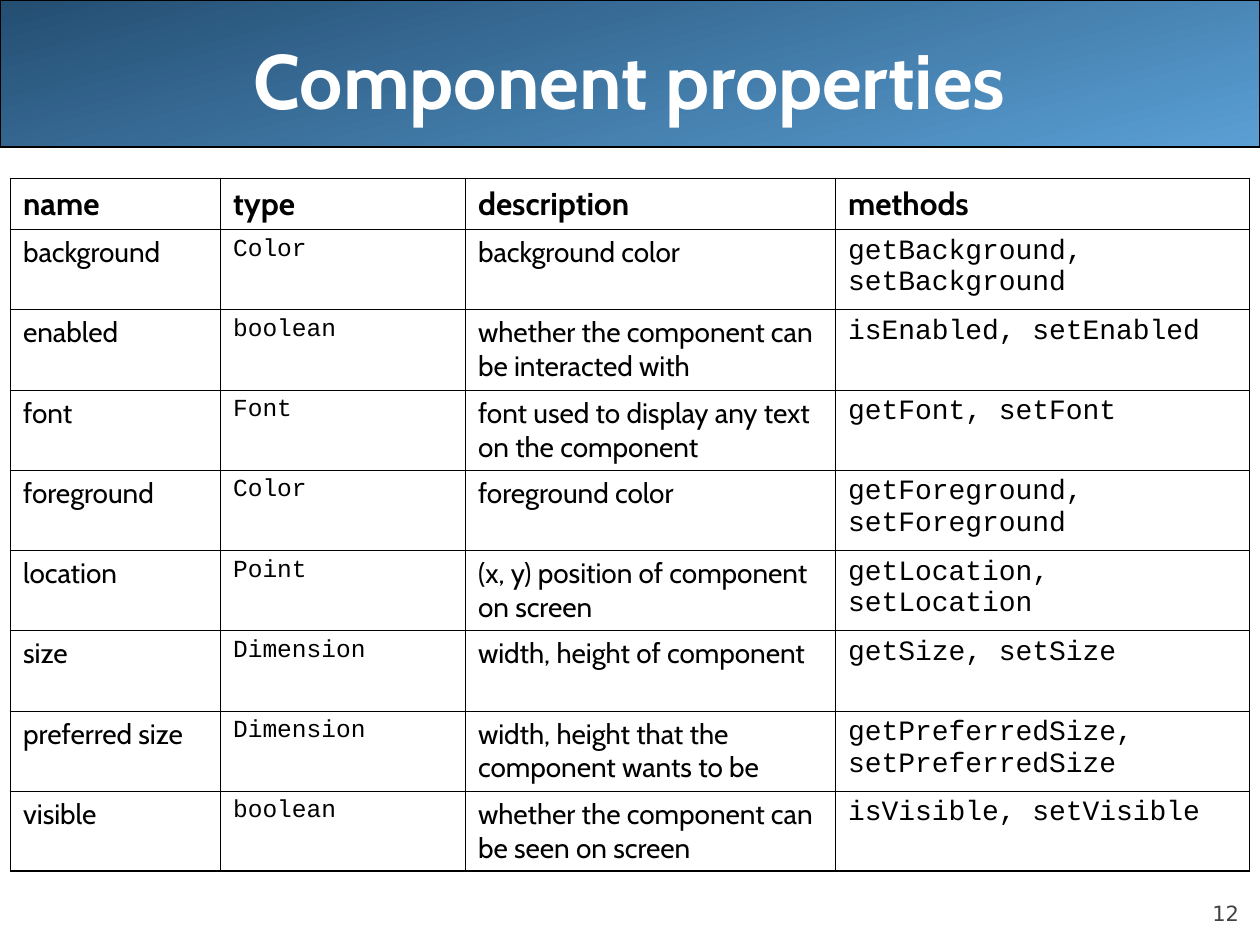
from dataclasses import dataclass

from lxml import etree
from pptx import Presentation
from pptx.dml.color import RGBColor
from pptx.enum.shapes import MSO_SHAPE
from pptx.enum.text import MSO_ANCHOR, PP_ALIGN
from pptx.oxml.ns import qn
from pptx.util import Pt

ROUNDED_RECTANGLE = MSO_SHAPE.ROUNDED_RECTANGLE
LEFT, CENTER, RIGHT = PP_ALIGN.LEFT, PP_ALIGN.CENTER, PP_ALIGN.RIGHT
MIDDLE, BOTTOM = MSO_ANCHOR.MIDDLE, MSO_ANCHOR.BOTTOM

TITLE = "Component properties"
PAGE_NUMBER = "12"
HEADINGS = ("name", "type", "description", "methods")
PROPERTIES = [
    ("background", "Color", "background color", "getBackground, setBackground"),
    ("enabled", "boolean", "whether the component can be interacted with", "isEnabled, setEnabled"),
    ("font", "Font", "font used to display any text on the component", "getFont, setFont"),
    ("foreground", "Color", "foreground color", "getForeground, setForeground"),
    ("location", "Point", "(x, y) position of component on screen", "getLocation, setLocation"),
    ("size", "Dimension", "width, height of component", "getSize, setSize"),
    ("preferred size", "Dimension", "width, height that the component wants to be",
     "getPreferredSize, setPreferredSize"),
    ("visible", "boolean", "whether the component can be seen on screen", "isVisible, setVisible"),
]

SLIDE_WIDTH, SLIDE_HEIGHT = 720, 540
BANNER_HEIGHT = 84
TITLE_BOX = (36, 0, 648, 90)
PAGE_NUMBER_BOX = (648, 500.4, 60, 28.8)
TABLE_LEFT, TABLE_TOP = 6, 102
COLUMN_WIDTHS = (120, 140, 211.5, 236.5)
HEADING_HEIGHT, ROW_HEIGHT = 29.2, 45.85
INSET_X, INSET_Y = 7.2, 3.6
OUTER_BORDER, INNER_BORDER = 1.08, 0.45


@dataclass(frozen=True)
class TextStyle:
    font: str
    size: float
    color: str = "000000"
    bold: bool = False
    space_before: float = 0


class Theme:
    banner_start = "244E72"
    banner_end = "5A9FD4"
    gradient_angle = 285
    line = "000000"
    title = TextStyle("Cabin", 44, "FFFFFF", True)
    page_number = TextStyle("DejaVu Sans", 12, "424242", space_before=5)
    heading = TextStyle("Cabin", 18, bold=True, space_before=4.5)
    prose = TextStyle("Cabin", 16, space_before=4)
    type_code = TextStyle("Courier New", 14, space_before=3.5)
    method_code = TextStyle("Courier New", 16, space_before=4)
    columns = (prose, type_code, prose, method_code)


def write_text(text_frame, text, style, alignment=LEFT):
    paragraph = text_frame.paragraphs[0]
    paragraph.alignment = alignment
    paragraph.space_before = Pt(style.space_before)
    run = paragraph.add_run()
    run.text = text
    run.font.name = style.font
    run.font.size = Pt(style.size)
    run.font.bold = style.bold
    run.font.color.rgb = RGBColor.from_string(style.color)


def add_banner(slide):
    banner = slide.shapes.add_shape(ROUNDED_RECTANGLE, 0, 0, Pt(SLIDE_WIDTH), Pt(BANNER_HEIGHT))
    banner.adjustments[0] = 0
    banner.shadow.inherit = False
    banner.fill.gradient()
    banner.fill.gradient_angle = Theme.gradient_angle
    for stop, color in zip(banner.fill.gradient_stops, (Theme.banner_start, Theme.banner_end)):
        stop.color.rgb = RGBColor.from_string(color)
    banner.line.color.rgb = RGBColor.from_string(Theme.line)
    banner.line.width = Pt(0.75)


def add_text_box(slide, box, text, style, alignment, anchor, inset_x=0, inset_y=0):
    text_frame = slide.shapes.add_textbox(*map(Pt, box)).text_frame
    text_frame.word_wrap = True
    text_frame.vertical_anchor = anchor
    text_frame.margin_left = text_frame.margin_right = Pt(inset_x)
    text_frame.margin_top = text_frame.margin_bottom = Pt(inset_y)
    write_text(text_frame, text, style, alignment)


def set_borders(cell, outer_sides):
    """Draw all four cell borders, heavier on the sides at the table's edge."""
    properties = cell._tc.get_or_add_tcPr()
    for side, is_outer in outer_sides.items():
        width = Pt(OUTER_BORDER if is_outer else INNER_BORDER)
        border = etree.SubElement(properties, qn(f"a:ln{side}"), w=str(int(width)))
        fill = etree.SubElement(border, qn("a:solidFill"))
        etree.SubElement(fill, qn("a:srgbClr"), val=Theme.line)


def add_property_table(slide):
    rows = [HEADINGS, *PROPERTIES]
    heights = [HEADING_HEIGHT] + [ROW_HEIGHT] * len(PROPERTIES)
    last_row, last_column = len(rows) - 1, len(HEADINGS) - 1
    table = slide.shapes.add_table(
        len(rows), len(HEADINGS), Pt(TABLE_LEFT), Pt(TABLE_TOP),
        Pt(sum(COLUMN_WIDTHS)), Pt(sum(heights))).table
    table.first_row = table.horz_banding = False
    for column, width in zip(table.columns, COLUMN_WIDTHS):
        column.width = Pt(width)
    for row, height in zip(table.rows, heights):
        row.height = Pt(height)
    for i, texts in enumerate(rows):
        for j, text in enumerate(texts):
            cell = table.cell(i, j)
            cell.margin_left = cell.margin_right = Pt(INSET_X)
            cell.margin_top = cell.margin_bottom = Pt(INSET_Y)
            set_borders(cell, {"L": j == 0, "R": j == last_column,
                               "T": i == 0, "B": i == last_row})
            cell.fill.background()
            write_text(cell.text_frame, text, Theme.columns[j] if i else Theme.heading)


def main():
    presentation = Presentation()
    presentation.slide_width = Pt(SLIDE_WIDTH)
    presentation.slide_height = Pt(SLIDE_HEIGHT)
    slide = presentation.slides.add_slide(presentation.slide_layouts[6])
    add_banner(slide)
    add_text_box(slide, PAGE_NUMBER_BOX, PAGE_NUMBER, Theme.page_number, RIGHT, BOTTOM)
    add_text_box(slide, TITLE_BOX, TITLE, Theme.title, CENTER, MIDDLE, INSET_X, INSET_Y)
    add_property_table(slide)
    presentation.save("out.pptx")


if __name__ == "__main__":
    main()
